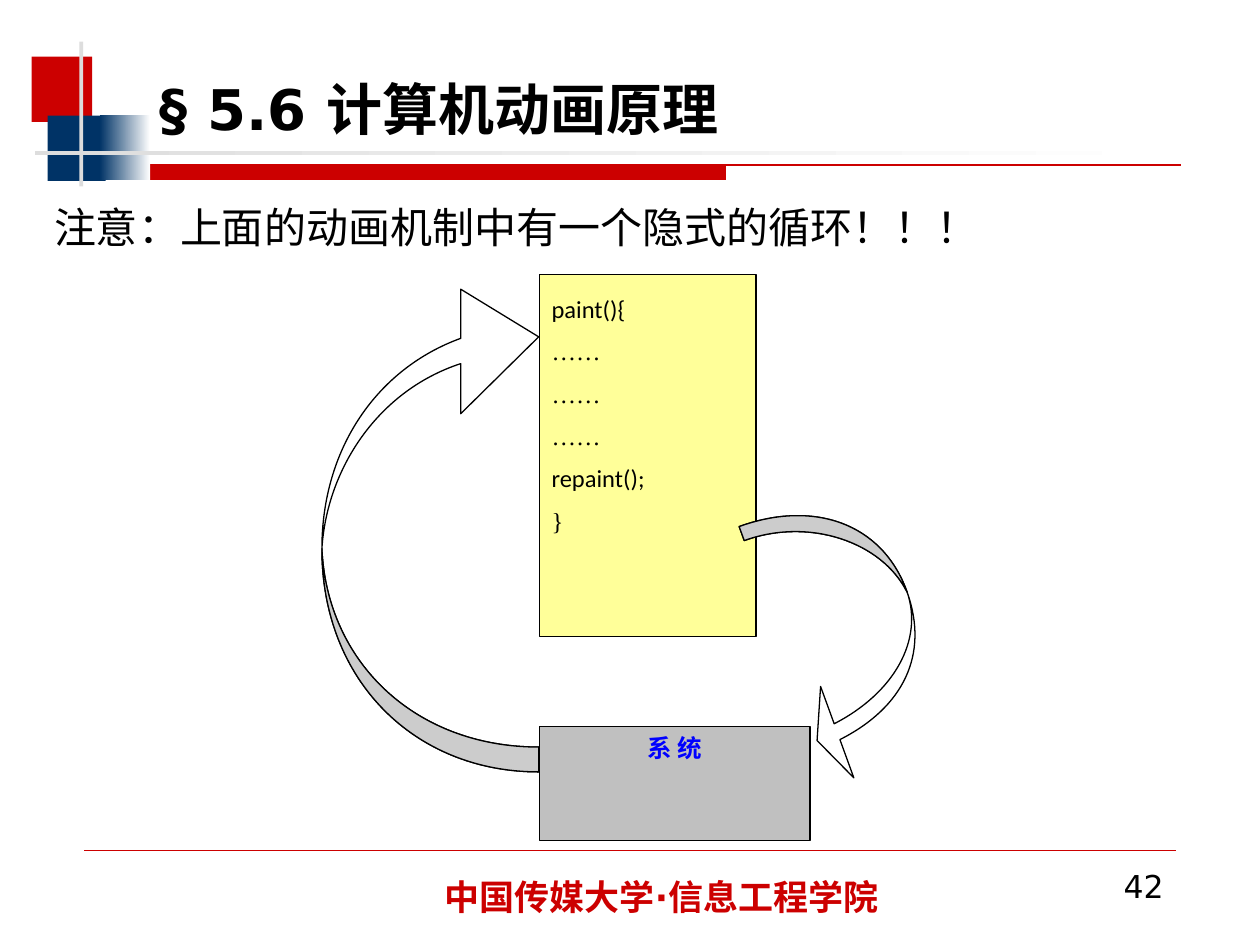
from pptx import Presentation
from pptx.dml.color import RGBColor
from pptx.enum.shapes import MSO_CONNECTOR, MSO_SHAPE
from pptx.enum.text import MSO_ANCHOR, PP_ALIGN
from pptx.oxml.ns import qn
from pptx.util import Cm, Pt
from lxml import etree

RECT = MSO_SHAPE.RECTANGLE
LINE = MSO_CONNECTOR.STRAIGHT
TOP, LOW = MSO_ANCHOR.TOP, MSO_ANCHOR.BOTTOM
LEFT, MID, RIGHT = PP_ALIGN.LEFT, PP_ALIGN.CENTER, PP_ALIGN.RIGHT
FULL = PP_ALIGN.JUSTIFY
HEAD, CODE, ROMAN = "DejaVu Sans", "Calibri", "Times New Roman"
COLORS = {
    "red": "CC0000", "navy": "003366", "silver": "DDDDDD", "white": "FFFFFF",
    "black": "000000", "yellow": "FFFF99", "gray": "C0C0C0", "blue": "0000FF",
}


def tint(name):
    return RGBColor.from_string(COLORS[name])


def paint(shape, fill, edge=None):
    shape.shadow.inherit = False
    shape.fill.solid()
    shape.fill.fore_color.rgb = tint(fill)
    if edge:
        shape.line.color.rgb = tint(edge)
        shape.line.width = Pt(0.75)
    else:
        shape.line.fill.background()


def block(slide, box, fill, edge=None, fade=False):
    """Add a rectangle; fade runs its fill to white at the right."""
    shape = slide.shapes.add_shape(RECT, *map(Cm, box))
    paint(shape, fill, edge)
    if fade:
        shape.fill.gradient()
        shape.fill.gradient_angle = 0
        for stop, name, place in zip(shape.fill.gradient_stops, (fill, "white"), (0, 1)):
            stop.color.rgb = tint(name)
            stop.position = place
    return shape


def write(shape, *lines, size=14, color="black", bold=False, font=HEAD,
          align=LEFT, anchor=TOP, space=None, wrap=True):
    """Fill a shape with lines, each a string or a (string, font) pair."""
    frame = shape.text_frame
    frame.word_wrap = wrap
    frame.vertical_anchor = anchor
    frame.margin_left = frame.margin_right = Cm(0.25)
    frame.margin_top = frame.margin_bottom = Cm(0.13)
    for i, line in enumerate(lines):
        text, face = (line, font) if isinstance(line, str) else line
        para = frame.paragraphs[0] if i == 0 else frame.add_paragraph()
        para.alignment = align
        if space:
            para.line_spacing = space
        run = para.add_run()
        run.text = text
        run.font.name = face
        run.font.size = Pt(size)
        run.font.bold = bold
        run.font.color.rgb = tint(color)


def label(slide, box, text, **style):
    write(slide.shapes.add_textbox(*map(Cm, box)), text, **style)


def outline(slide, box, fill, edge, *paths):
    """Add a freeform of several paths, each a (steps, settings) pair.

    A step is a list of points: one for a line, three for a curve.
    """
    left, top, width, height = map(Cm, box)
    maker = slide.shapes.build_freeform(left, top)
    maker.add_line_segments([(left + width, top), (left + width, top + height),
                             (left, top + height)])
    shape = maker.convert_to_shape()
    paint(shape, fill, edge)
    group = shape._element.spPr.find(qn("a:custGeom")).find(qn("a:pathLst"))
    for old in list(group):
        group.remove(old)
    for steps, settings in paths:
        track = etree.SubElement(group, qn("a:path"), w=str(width),
                                 h=str(height), **settings)
        for i, step in enumerate(steps):
            tag = "a:moveTo" if i == 0 else "a:cubicBezTo" if len(step) == 3 else "a:lnTo"
            node = etree.SubElement(track, qn(tag))
            for x, y in step:
                etree.SubElement(node, qn("a:pt"), x=str(Cm(x)), y=str(Cm(y)))
        if len(steps) > 2:
            etree.SubElement(track, qn("a:close"))
    return shape


def ribbon(slide, box, angle, tail, turn, head, bends):
    """Draw a curved arrow that folds at turn.

    tail holds the outer and inner ends, bends the control points of the
    outer tail, outer head, inner head and inner tail curves.
    """
    begin = [[tail[0]], [*bends[0], turn]]
    front = [[*bends[1], head[0]]] + [[point] for point in head[1:]]
    end = [[*bends[2], turn]]
    close = [[*bends[3], tail[1]]]
    shape = outline(slide, box, "white", "black",
                    (begin + front + end + close, {}),
                    (begin + close, {"fill": "darkenLess"}))
    shape.rotation = angle


def header(slide, left, top):
    wide, part, high = 22.1, 12.93, 0.3
    outline(slide, (left + 1.06, top + 2.49, wide, high), "red", "red",
            ([[(0, 0)], [(part, 0)], [(part, high)], [(0, high)]], {"stroke": "0"}),
            ([[(0, 0)], [(wide, 0)]], {"fill": "none"}))
    block(slide, (left, top + 0.3, 1.22, 1.32), "red")
    block(slide, (left + 0.32, top + 1.49, 1.17, 1.32), "navy")
    block(slide, (left + 1.37, top + 1.47, 1.02, 1.32), "navy", fade=True)
    block(slide, (left + 0.96, top, 0.08, 2.92), "silver")
    block(slide, (left + 0.07, top + 2.21, 22.86, 0.08), "silver", fade=True)
    title = slide.shapes.title
    title.left, title.top = Cm(left + 2.33), Cm(top + 0.85)
    title.width, title.height = Cm(18.21), Cm(1.3)
    write(title, "§ 5.6 计算机动画原理", size=32, bold=True, anchor=LOW)


def cycle(slide, left, top):
    """Draw the code box, the system box and the arrows between them."""
    system = block(slide, (left + 4.37, top + 9.11, 5.46, 2.29), "gray", "black")
    write(system, "系 统", color="blue", bold=True, font=CODE, align=MID)
    code = block(slide, (left + 4.37, top, 4.37, 7.29), "yellow", "black")
    dots = [("……", ROMAN)] * 3
    write(code, "paint(){", *dots, "repaint();", ("}", ROMAN),
          font=CODE, align=FULL, space=1.44)
    ribbon(slide, (left + 9.27, top + 4.44, 2.74, 5.56), 340,
           tail=[(0, 0), (0, 0.3)], turn=(2.73, 2.4),
           head=[(0.44, 4.73), (0.44, 5.55), (0, 4.59), (0.44, 3.59), (0.44, 4.39)],
           bends=[((1.57, 0), (2.74, 0.9)), ((2.72, 3.75), (1.85, 4.56)),
                  ((1.79, 4.22), (2.71, 3.42)), ((2.6, 1.27), (1.39, 0.3))])
    ribbon(slide, (left - 2.84, top + 2.82, 10.03, 4.37), 270,
           tail=[(0, 4.37), (0.5, 4.37)], turn=(4.5, 0),
           head=[(8.74, 2.8), (9.73, 2.8), (8.77, 4.37), (7.22, 2.8), (8.23, 2.8)],
           bends=[((0, 1.88), (1.83, 0)), ((6.53, 0), (8.13, 1.12)),
                  ((7.68, 1.12), (6.1, 0.1)), ((2.21, 0.1), (0.5, 1.88))])


def footer(slide, left, top):
    line = slide.shapes.add_connector(LINE, Cm(left), Cm(top), Cm(left + 22), Cm(top))
    line.line.color.rgb = tint("red")
    line.line.width = Pt(0.25)
    etree.SubElement(line._element.spPr, qn("a:effectLst"))
    label(slide, (left + 16.5, top + 0.2, 5.51, 1.32), "42", size=18, align=RIGHT)
    label(slide, (left + 6.81, top + 0.38, 9.65, 0.99), "中国传媒大学·信息工程学院",
          size=20, color="red", bold=True, align=MID, wrap=False)


def main():
    deck = Presentation()
    deck.slide_width, deck.slide_height = Cm(25.4), Cm(19.05)
    slide = deck.slides.add_slide(deck.slide_layouts[5])
    header(slide, 0.64, 0.84)
    label(slide, (0.84, 3.94, 23.93, 3.3), "注意：上面的动画机制中有一个隐式的循环！！！",
          size=24, font="Roboto")
    cycle(slide, 6.5, 5.54)
    footer(slide, 1.7, 17.14)
    deck.save("out.pptx")


if __name__ == "__main__":
    main()
